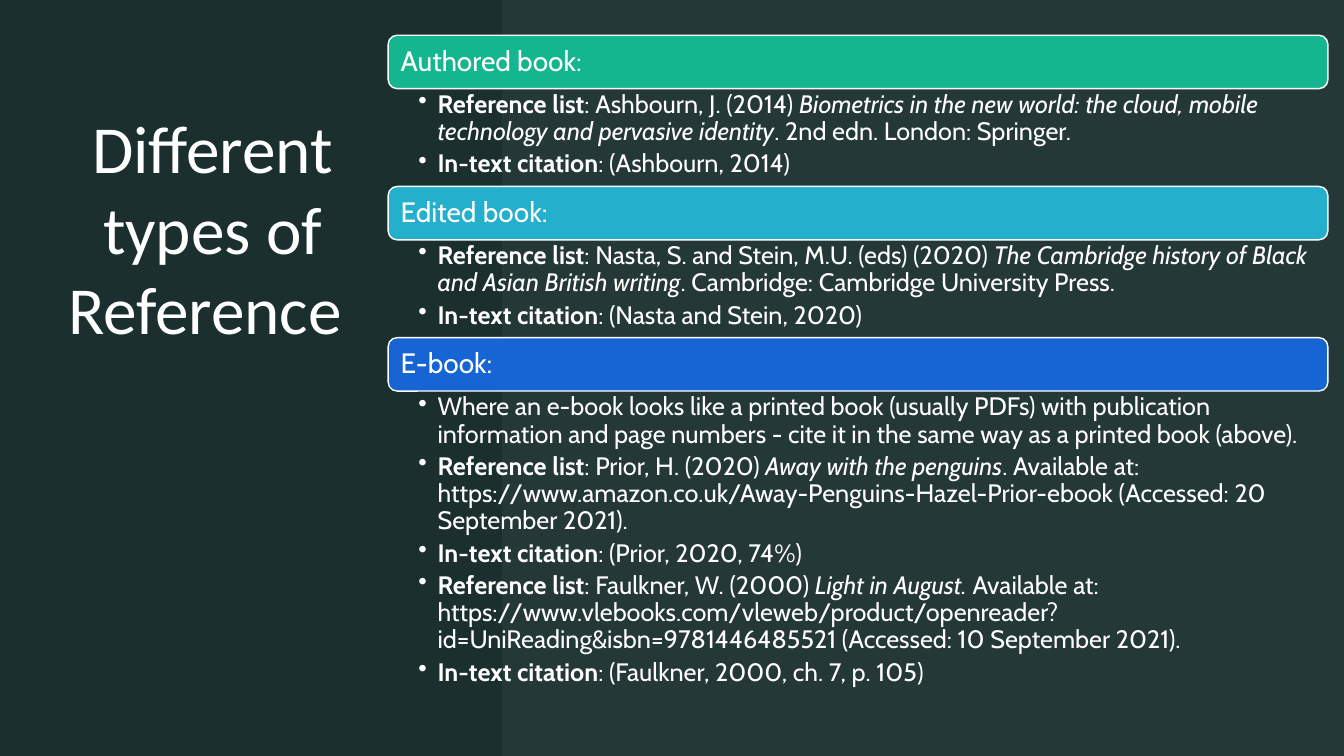
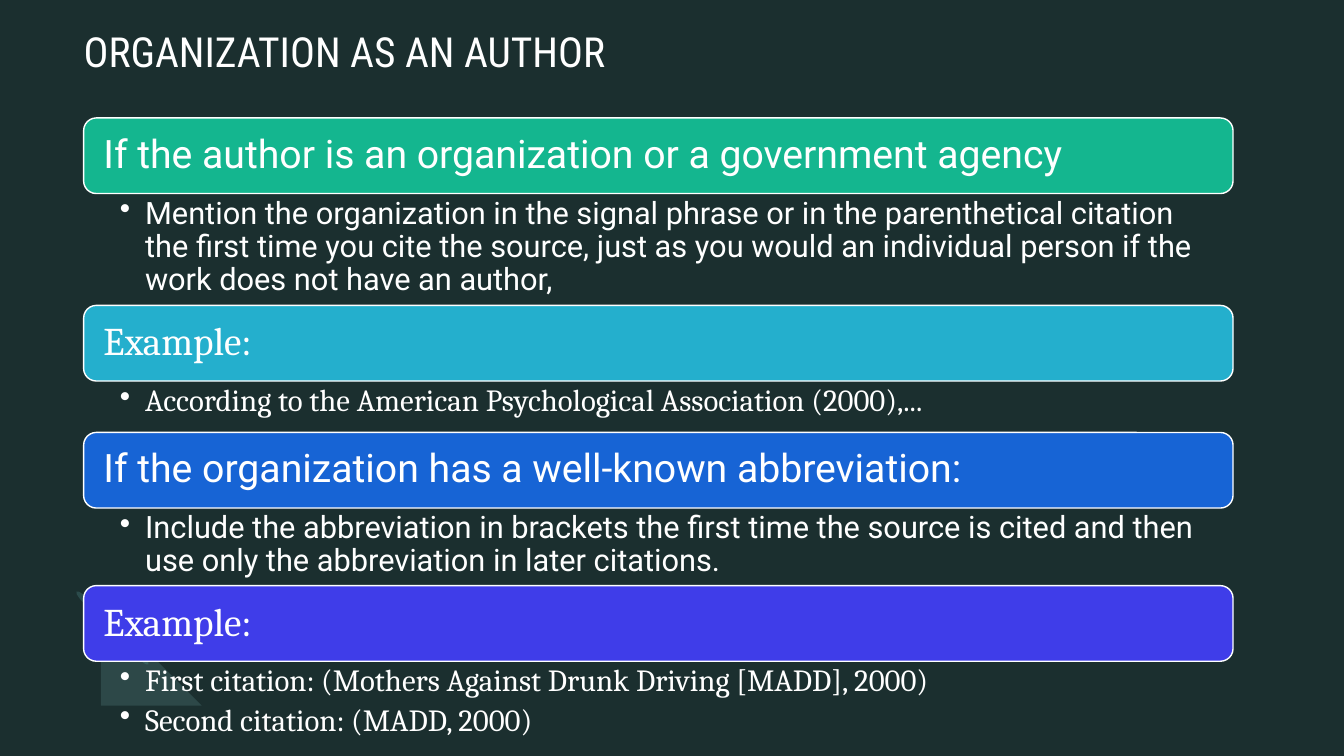
from dataclasses import dataclass
from typing import Any

import lxml.etree
import pptx
import pptx.dml.color
import pptx.enum.shapes
import pptx.enum.text
import pptx.oxml.ns
import pptx.util

Inches = pptx.util.Inches
Pt = pptx.util.Pt
Shapes = pptx.enum.shapes.MSO_SHAPE
Anchor = pptx.enum.text.MSO_ANCHOR

BACKGROUND = "1B2F2F"
WHITE = "FFFFFF"
PANEL = "E3EFEF"
RING = "75AFAF"
RING_DOT = "2B4B4B"
BAND_COLOURS = ("14B68F", "24AFCD", "1764D5", "3F3DE9")


@dataclass(frozen=True)
class Span:
    text: str
    bold: bool = False
    italic: bool = False


@dataclass(frozen=True)
class Section:
    heading: str
    bullets: list[list[Span]]
    body_height: float
    font: str


@dataclass(frozen=True)
class ListStyle:
    """Measures shared by every band and bullet list of one page, in inches and points."""

    left: float
    top: float
    width: float
    band_height: float
    band_inset: float
    heading_size: float
    body_size: float
    body_insets: tuple[float, float, float, float]
    hanging: float


REFERENCE_STYLE = ListStyle(3.85, 0.35, 9.32, 0.53, 0.1, 20, 18, (0.3, 0.03, 0.14, 0.03), 0.19)
ORGANIZATION_STYLE = ListStyle(0.83, 1.17, 11.4, 0.75, 0.16, 28, 22, (0.36, 0.04, 0.22, 0.04), 0.25)


def reference(author: str, title: str, details: str) -> list[Span]:
    return [Span("Reference list", bold=True), Span(f": {author} "), Span(title, italic=True), Span(details)]


def citation(text: str) -> list[Span]:
    return [Span("In-text citation", bold=True), Span(f": {text}")]


def plain(text: str) -> list[Span]:
    return [Span(text)]


REFERENCE_SECTIONS = [
    Section("Authored book:", [
        reference("Ashbourn, J. (2014)",
                  "Biometrics in the new world: the cloud, mobile technology and pervasive identity",
                  ". 2nd edn. London: Springer."),
        citation("(Ashbourn, 2014)"),
    ], 0.97, "Cabin"),
    Section("Edited book:", [
        reference("Nasta, S. and Stein, M.U. (eds) (2020)",
                  "The Cambridge history of Black and Asian British writing",
                  ". Cambridge: Cambridge University Press."),
        citation("(Nasta and Stein, 2020)"),
    ], 0.97, "Cabin"),
    Section("E-book:", [
        plain("Where an e-book looks like a printed book (usually PDFs) with publication information "
              "and page numbers - cite it in the same way as a printed book (above)."),
        reference("Prior, H. (2020)", "Away with the penguins",
                  ". Available at: https://www.amazon.co.uk/Away-Penguins-Hazel-Prior-ebook "
                  "(Accessed: 20 September 2021)."),
        citation("(Prior, 2020, 74%)"),
        reference("Faulkner, W. (2000)", "Light in August.",
                  " Available at: https://www.vlebooks.com/vleweb/product/openreader"
                  "?id=UniReading&isbn=9781446485521 (Accessed: 10 September 2021)."),
        citation("(Faulkner, 2000, ch. 7, p. 105)"),
    ], 3.61, "Cabin"),
]

ORGANIZATION_SECTIONS = [
    Section("If the author is an organization or a government agency", [
        plain("Mention the organization in the signal phrase or in the parenthetical citation the first "
              "time you cite the source, just as you would an individual person if the work does not "
              "have an author,"),
    ], 1.11, "Roboto"),
    Section("Example:", [
        plain("According to the American Psychological Association (2000),..."),
    ], 0.51, "Cambria"),
    Section("If the organization has a well-known abbreviation:", [
        plain("Include the abbreviation in brackets the first time the source is cited and then use only "
              "the abbreviation in later citations."),
    ], 0.77, "Roboto"),
    Section("Example:", [
        plain("First citation: (Mothers Against Drunk Driving [MADD], 2000)"),
        plain("Second citation: (MADD, 2000)"),
    ], 0.84, "Cambria"),
]


def colour(value: str) -> pptx.dml.color.RGBColor:
    return pptx.dml.color.RGBColor.from_string(value)


def paint(shape: Any, fill: str, opacity: int = 100) -> None:
    """Give a shape a plain fill, with no line and no shadow."""
    shape.shadow.inherit = False
    shape.line.fill.background()
    shape.fill.solid()
    shape.fill.fore_color.rgb = colour(fill)
    if opacity < 100:
        tone = shape.fill._xPr.find(".//" + pptx.oxml.ns.qn("a:srgbClr"))
        lxml.etree.SubElement(tone, pptx.oxml.ns.qn("a:alpha"), val=str(opacity * 1000))


def add_block(page: Any, kind: Any, box: tuple[float, float, float, float], fill: str, opacity: int = 100) -> Any:
    shape = page.shapes.add_shape(kind, *map(Inches, box))
    paint(shape, fill, opacity)
    return shape


def set_frame(frame: Any, insets: tuple[float, float, float, float], anchor: Any) -> None:
    frame.word_wrap = True
    frame.vertical_anchor = anchor
    frame.margin_left, frame.margin_top, frame.margin_right, frame.margin_bottom = map(Inches, insets)


def set_font(item: Any, name: str, size: float) -> None:
    item.font.name = name
    item.font.size = Pt(size)
    item.font.color.rgb = colour(WHITE)


def add_bullet(para: Any, hanging: float) -> None:
    properties = para._p.get_or_add_pPr()
    properties.set("marL", str(Inches(hanging)))
    properties.set("indent", str(-Inches(hanging)))
    lxml.etree.SubElement(properties, pptx.oxml.ns.qn("a:buChar"), char="•")


def add_title(page: Any, box: tuple[float, float, float, float], text: str, font: str, size: float,
              anchor: Any, alignment: Any) -> None:
    frame = page.shapes.add_textbox(*map(Inches, box)).text_frame
    set_frame(frame, (0, 0, 0, 0), anchor)
    frame.text = text
    para = frame.paragraphs[0]
    para.alignment = alignment
    set_font(para.runs[0], font, size)


def add_band(page: Any, section: Section, style: ListStyle, top: float, fill: str) -> None:
    band = add_block(page, Shapes.ROUNDED_RECTANGLE, (style.left, top, style.width, style.band_height), fill)
    band.line.color.rgb = colour(WHITE)
    band.line.width = Pt(1)
    set_frame(band.text_frame, (style.band_inset,) * 4, Anchor.MIDDLE)
    band.text_frame.text = section.heading
    para = band.text_frame.paragraphs[0]
    para.alignment = pptx.enum.text.PP_ALIGN.LEFT
    para.line_spacing = 0.9
    set_font(para.runs[0], section.font, style.heading_size)


def add_bullets(page: Any, section: Section, style: ListStyle, top: float) -> None:
    box = (style.left, top, style.width, section.body_height)
    frame = page.shapes.add_textbox(*map(Inches, box)).text_frame
    set_frame(frame, style.body_insets, Anchor.TOP)
    for index, spans in enumerate(section.bullets):
        para = frame.add_paragraph() if index else frame.paragraphs[0]
        add_bullet(para, style.hanging)
        para.line_spacing = 0.9
        para.space_after = Pt(style.body_size * 0.2)
        for span in spans:
            run = para.add_run()
            run.text = span.text
            set_font(run, section.font, style.body_size)
            run.font.bold = span.bold
            run.font.italic = span.italic


def add_sections(page: Any, sections: list[Section], style: ListStyle) -> None:
    """Stack bands and their bullet lists down the page without gaps."""
    top = style.top
    for section, fill in zip(sections, BAND_COLOURS):
        add_band(page, section, style, top, fill)
        top += style.band_height
        add_bullets(page, section, style, top)
        top += section.body_height


def curve(*controls: tuple[float, float], steps: int = 12) -> list[tuple[float, float]]:
    """Points along a cubic curve, both ends included."""
    points = []
    for step in range(steps + 1):
        t = step / steps
        weights = ((1 - t) ** 3, 3 * t * (1 - t) ** 2, 3 * t * t * (1 - t), t ** 3)
        points.append(tuple(sum(w * c[axis] for w, c in zip(weights, controls)) for axis in (0, 1)))
    return points


def add_half_ring(page: Any) -> None:
    for left, top in ((1.35, 6.37), (0.82, 5.83)):
        dot = add_block(page, Shapes.OVAL, (left, top, 0.06, 0.26), RING_DOT)
        dot.rotation = 135
    outline = [
        *curve((0.76, 6.59), (0.56, 6.39), (0.58, 6.05), (0.81, 5.82)),
        *curve((0.99, 6), (0.87, 6.11), (0.86, 6.29), (0.96, 6.38)),
        *curve((0.96, 6.38), (1.06, 6.48), (1.23, 6.47), (1.35, 6.36)),
        *curve((1.52, 6.54), (1.3, 6.76), (0.95, 6.79), (0.76, 6.59)),
    ]
    builder = page.shapes.build_freeform(*outline[0], scale=float(Inches(1)))
    builder.add_line_segments(outline[1:], close=True)
    paint(builder.convert_to_shape(), RING, 20)


def add_page(deck: Any) -> Any:
    page = deck.slides.add_slide(deck.slide_layouts[6])
    page.background.fill.solid()
    page.background.fill.fore_color.rgb = colour(BACKGROUND)
    return page


def build_reference_page(deck: Any) -> None:
    page = add_page(deck)
    add_title(page, (0.16, 0.2, 3.9, 4.11), "Different types of Reference ", "Calibri", 48,
              Anchor.MIDDLE, pptx.enum.text.PP_ALIGN.CENTER)
    add_block(page, Shapes.RECTANGLE, (4.98, 0, 8.35, 7.5), PANEL, 5)
    add_sections(page, REFERENCE_SECTIONS, REFERENCE_STYLE)


def build_organization_page(deck: Any) -> None:
    page = add_page(deck)
    add_half_ring(page)
    add_title(page, (0.83, 0.26, 12.13, 0.62), "ORGANIZATION AS AN AUTHOR", "Roboto Condensed", 29.6,
              Anchor.TOP, pptx.enum.text.PP_ALIGN.LEFT)
    add_sections(page, ORGANIZATION_SECTIONS, ORGANIZATION_STYLE)


def main() -> None:
    deck = pptx.Presentation()
    deck.slide_width = Inches(13.33)
    deck.slide_height = Inches(7.5)
    build_reference_page(deck)
    build_organization_page(deck)
    deck.save("out.pptx")


if __name__ == "__main__":
    main()
